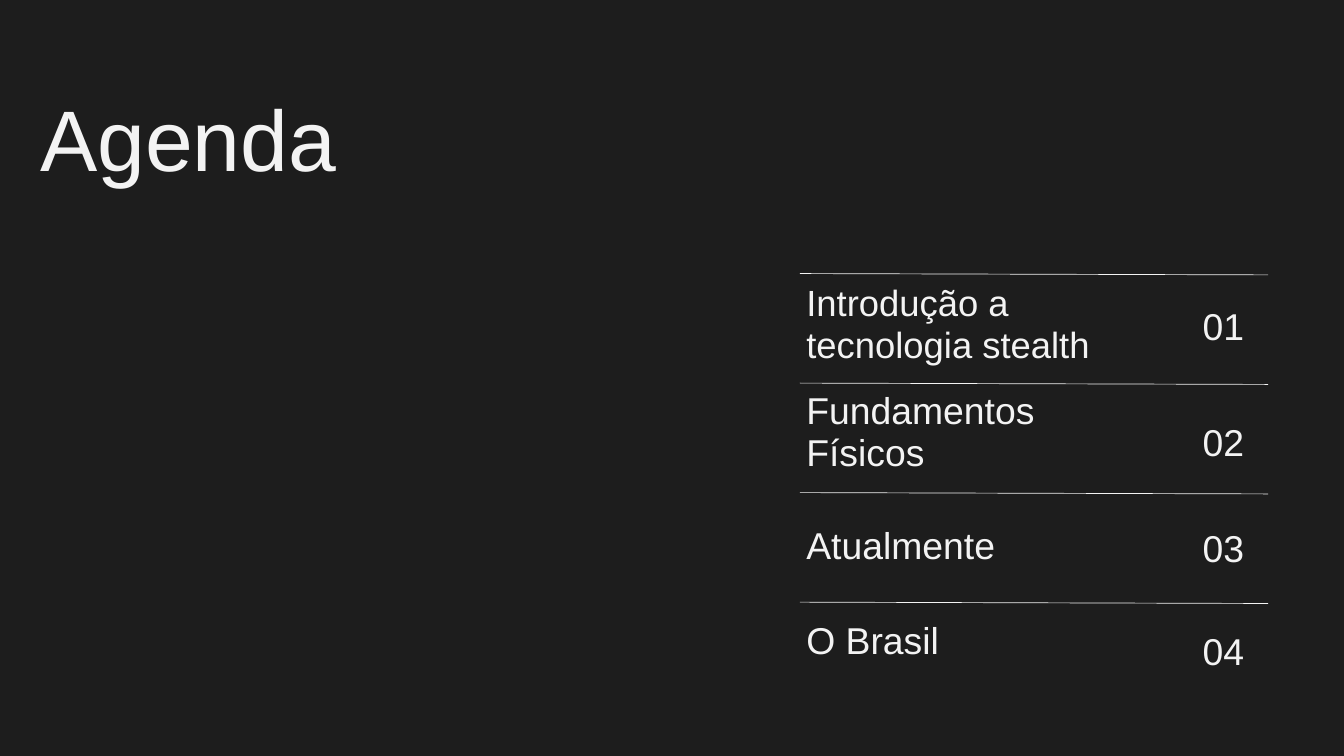
from dataclasses import dataclass

from lxml.etree import SubElement
from pptx import Presentation
from pptx.dml.color import RGBColor
from pptx.enum.shapes import MSO_CONNECTOR
from pptx.enum.text import MSO_ANCHOR, PP_ALIGN
from pptx.oxml.ns import qn
from pptx.slide import Slide
from pptx.text.text import TextFrame
from pptx.util import Cm, Pt


@dataclass(frozen=True)
class Theme:
    font: str = "Arial"
    background: RGBColor = RGBColor(0x1D, 0x1D, 0x1D)
    foreground: RGBColor = RGBColor(0xF3, 0xF3, 0xF3)
    title_size: float = 92
    title_spacing: float = 110.4
    item_size: float = 40
    number_spacing: float = 48
    rule_width: float = 0.75


@dataclass(frozen=True)
class AgendaItem:
    text: str
    top: float
    height: float
    number_top: float
    size: float = Theme.item_size
    spacing: float = 45.6


THEME = Theme()
ITEMS = [
    AgendaItem("Introdução a tecnologia stealth", 10.67, 3.35, 11.2, 39, 44.5),
    AgendaItem("Fundamentos Físicos", 14.71, 3.43, 15.57),
    AgendaItem("Atualmente", 19.81, 1.83, 19.61),
    AgendaItem("O Brasil", 23.42, 1.83, 23.5),
]
RULE_LEFT, RULE_RIGHT = 30.23, 47.93
RULE_TOP, RULE_STEP, RULE_DROP = 10.34, 4.14, 0.05


def write_text(frame: TextFrame, text: str, size: float, spacing: float,
               alignment: PP_ALIGN = PP_ALIGN.LEFT,
               anchor: MSO_ANCHOR = MSO_ANCHOR.TOP) -> None:
    frame.text = text
    frame.word_wrap = True
    frame.vertical_anchor = anchor
    frame.margin_left = frame.margin_right = 0
    frame.margin_top = frame.margin_bottom = 0
    paragraph = frame.paragraphs[0]
    paragraph.alignment = alignment
    paragraph.line_spacing = Pt(spacing)
    paragraph.space_before = Pt(0)
    font = paragraph.runs[0].font
    font.name = THEME.font
    font.size = Pt(size)
    font.color.rgb = THEME.foreground


def add_title(slide: Slide, text: str) -> None:
    title = slide.shapes.title
    title.left, title.top = Cm(1.52), Cm(3.25)
    title.width, title.height = Cm(19.02), Cm(4.39)
    write_text(title.text_frame, text, THEME.title_size, THEME.title_spacing)


def add_rule(slide: Slide, top: float) -> None:
    """Draw a separator that falls slightly towards the right."""
    rule = slide.shapes.add_connector(
        MSO_CONNECTOR.STRAIGHT,
        Cm(RULE_LEFT), Cm(top), Cm(RULE_RIGHT), Cm(top + RULE_DROP))
    rule.line.color.rgb = THEME.foreground
    rule.line.width = Pt(THEME.rule_width)
    SubElement(rule.element.spPr, qn("a:effectLst"))


def add_item(slide: Slide, number: int, item: AgendaItem) -> None:
    label = slide.shapes.add_textbox(
        Cm(30.48), Cm(item.top), Cm(11.51), Cm(item.height))
    write_text(label.text_frame, item.text, item.size, item.spacing)
    number_box = slide.shapes.add_textbox(
        Cm(44.58), Cm(item.number_top), Cm(3.33), Cm(2.21))
    write_text(number_box.text_frame, f"{number:02}", THEME.item_size,
               THEME.number_spacing, PP_ALIGN.CENTER, MSO_ANCHOR.MIDDLE)


def main() -> None:
    presentation = Presentation()
    presentation.slide_width = Cm(50.8)
    presentation.slide_height = Cm(28.575)
    title_only = presentation.slide_layouts.get_by_name("Title Only")
    slide = presentation.slides.add_slide(title_only)
    slide.background.fill.solid()
    slide.background.fill.fore_color.rgb = THEME.background

    add_title(slide, "Agenda")
    for index, item in enumerate(ITEMS):
        add_rule(slide, RULE_TOP + index * RULE_STEP)
        add_item(slide, index + 1, item)
    presentation.save("out.pptx")


if __name__ == "__main__":
    main()
